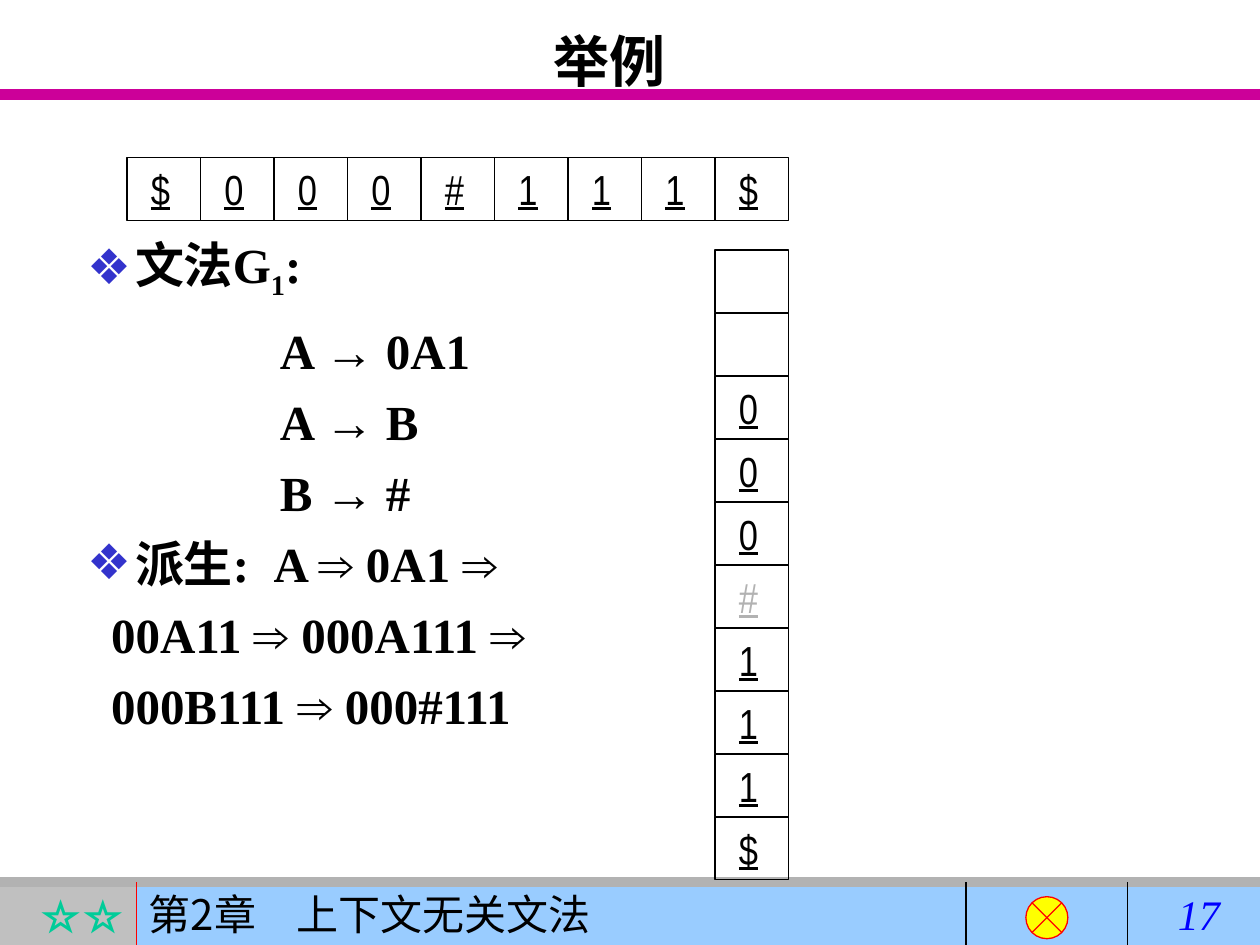
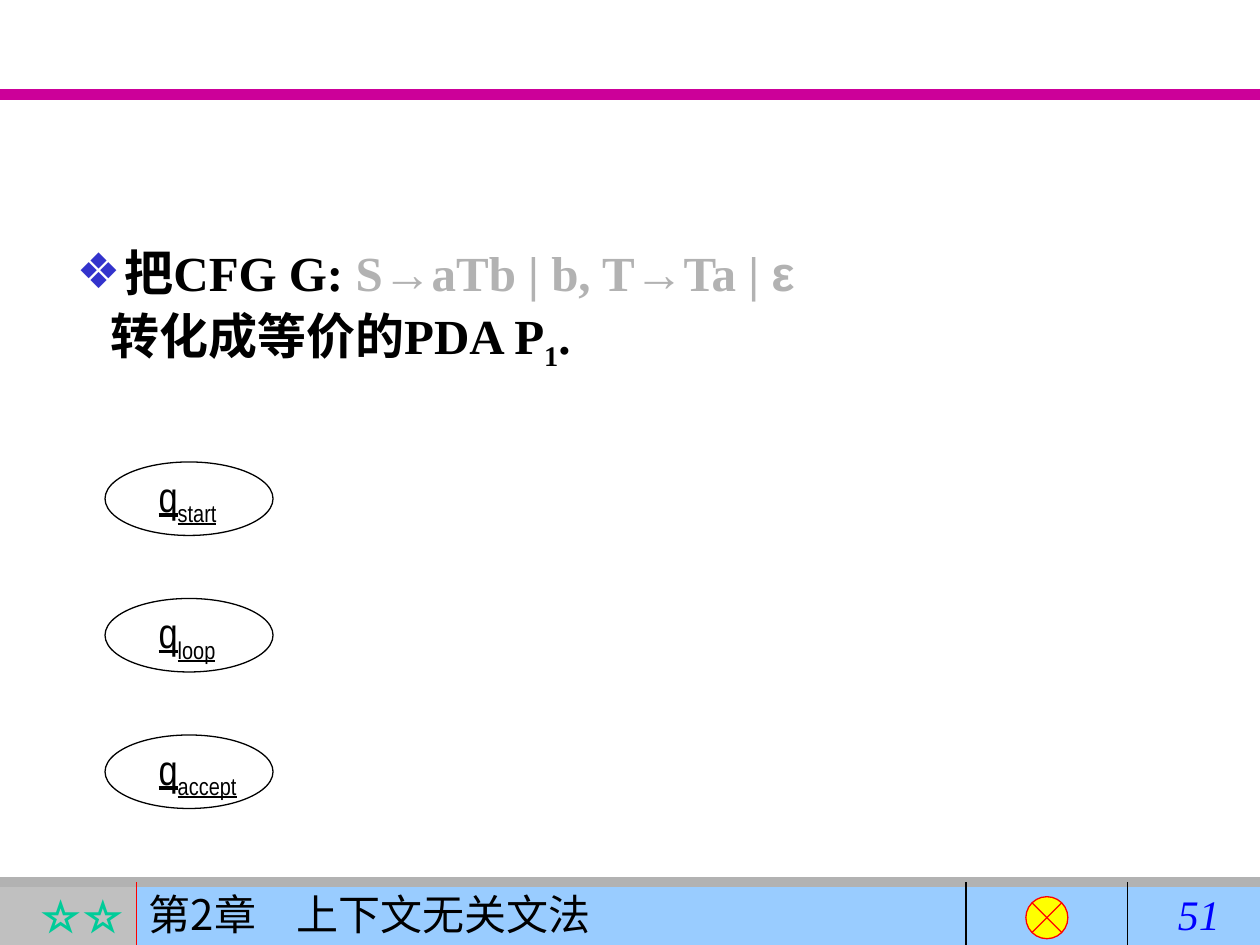
from itertools import groupby

from lxml import etree
from pptx import Presentation
from pptx.dml.color import RGBColor
from pptx.enum.shapes import MSO_CONNECTOR, MSO_SHAPE
from pptx.enum.text import MSO_ANCHOR, MSO_AUTO_SIZE, PP_ALIGN
from pptx.oxml.ns import qn
from pptx.util import Inches, Pt

RECTANGLE = MSO_SHAPE.RECTANGLE
OVAL = MSO_SHAPE.OVAL
SUMMING_JUNCTION = MSO_SHAPE.FLOWCHART_SUMMING_JUNCTION
STRAIGHT = MSO_CONNECTOR.STRAIGHT
TOP, MIDDLE = MSO_ANCHOR.TOP, MSO_ANCHOR.MIDDLE
LEFT, CENTER, RIGHT = PP_ALIGN.LEFT, PP_ALIGN.CENTER, PP_ALIGN.RIGHT
NO_AUTOFIT = MSO_AUTO_SIZE.NONE

BLACK = RGBColor(0x00, 0x00, 0x00)
RED = RGBColor(0xFF, 0x00, 0x00)
YELLOW = RGBColor(0xFF, 0xFF, 0x00)
MAGENTA = RGBColor(0xCC, 0x00, 0x99)
GRAY = RGBColor(0xB2, 0xB2, 0xB2)
SILVER = RGBColor(0xC0, 0xC0, 0xC0)
SKY = RGBColor(0x99, 0xCC, 0xFF)
GREEN = RGBColor(0x00, 0xCC, 0x99)
BLUE = RGBColor(0x00, 0x00, 0xFF)
BULLET_BLUE = RGBColor(0x33, 0x33, 0xCC)

SERIF, SANS, NARROW = "Times New Roman", "Arial", "Arial Narrow"
CHINESE = "Noto Sans CJK SC"
SYMBOLS = "→⇒ε"

SLIDE_WIDTH, SLIDE_HEIGHT = Inches(10), Inches(7.5)
COLUMNS, ROWS = 120, 90
COLUMN, ROW = SLIDE_WIDTH / COLUMNS, SLIDE_HEIGHT / ROWS
FOOTER_TOP, FOOTER_HEIGHT = 84, 6
CELL_WIDTH, CELL_HEIGHT = 7, 6


def place(left, top, width, height):
    return (round(left * COLUMN), round(top * ROW),
            round(width * COLUMN), round(height * ROW))


def add_text(paragraph, text, font=SERIF, size=28, color=BLACK, bold=False,
             italic=False, underline=False, subscript=False):
    for is_symbol, characters in groupby(text, lambda mark: mark in SYMBOLS):
        run = paragraph.add_run()
        run.text = "".join(characters)
        name = SANS if is_symbol else font
        run.font.name = name
        run.font.size = Pt(size)
        run.font.color.rgb = color
        run.font.bold = bold
        run.font.italic = italic
        run.font.underline = underline
        properties = run.font._element
        if subscript:
            properties.set("baseline", "-25000")
        east_asian = etree.SubElement(properties, qn("a:ea"))
        east_asian.set("typeface", SANS if is_symbol else CHINESE)


def add_tab(paragraph, position):
    tabs = etree.SubElement(paragraph._p.get_or_add_pPr(), qn("a:tabLst"))
    etree.SubElement(tabs, qn("a:tab"), pos=str(Inches(position)), algn="l")


def set_bullet(paragraph, bulleted, indent):
    properties = paragraph._p.get_or_add_pPr()
    if not bulleted:
        properties.set("marL", str(Inches(indent)))
        properties.set("indent", "0")
        etree.SubElement(properties, qn("a:buNone"))
        return
    properties.set("marL", str(Inches(0.38)))
    properties.set("indent", str(Inches(-0.38)))
    color = etree.SubElement(properties, qn("a:buClr"))
    etree.SubElement(color, qn("a:srgbClr"), val=str(BULLET_BLUE))
    etree.SubElement(properties, qn("a:buChar"), char="❖")


def set_frame(text_frame, anchor, left=0.1, top=0.0, right=0.0):
    text_frame.word_wrap = True
    text_frame.auto_size = NO_AUTOFIT
    text_frame.vertical_anchor = anchor
    text_frame.margin_left = Inches(left)
    text_frame.margin_right = Inches(right)
    text_frame.margin_top = Inches(top)
    text_frame.margin_bottom = 0


def add_box(slide, box, kind=RECTANGLE, fill=None, line=None, margin=0.1,
            align=LEFT):
    shape = slide.shapes.add_shape(kind, *place(*box))
    shape.shadow.inherit = False
    if fill is None:
        shape.fill.background()
    else:
        shape.fill.solid()
        shape.fill.fore_color.rgb = fill
    if line is None:
        shape.line.fill.background()
    else:
        shape.line.color.rgb = line
        shape.line.width = Pt(0.75)
    set_frame(shape.text_frame, MIDDLE, left=margin,
              right=margin if align == RIGHT else 0)
    paragraph = shape.text_frame.paragraphs[0]
    paragraph.alignment = align
    return paragraph


def add_line(slide, start, end, color, width=0.75):
    left, top, right, bottom = place(*start, *end)
    line = slide.shapes.add_connector(STRAIGHT, left, top, right, bottom)
    line.line.color.rgb = color
    line.line.width = Pt(width)
    etree.SubElement(line._element.spPr, qn("a:effectLst"))


def add_footer(slide, left, top, width, height, number):
    chapter_left = left + 13
    stars = add_box(slide, (left, top, 13, height), fill=SILVER, align=RIGHT)
    add_text(stars, "☆☆", size=24, color=GREEN, bold=True)
    chapter = add_box(slide, (chapter_left, top, width - 13, height), fill=SKY)
    add_tab(chapter, 1.17)
    add_text(chapter, "第2章\t上下文无关文法", font=CHINESE, size=24)
    add_line(slide, (left, top), (left + width, top), GRAY, 6)
    for column, color in ((chapter_left, RED), (92, BLACK), (107.4, BLACK)):
        add_line(slide, (column, top), (column, top + height), color)
    add_box(slide, (left + 97.7, top + 1.4, 4, 4), SUMMING_JUNCTION,
            fill=YELLOW, line=RED)
    page = slide.shapes.add_textbox(*place(left + 111, top, 9, height))
    set_frame(page.text_frame, MIDDLE)
    add_text(page.text_frame.paragraphs[0], str(number), size=24, color=BLUE,
             italic=True)


def add_title(slide, box, text):
    title = slide.shapes.title
    if text is None:
        title._element.getparent().remove(title._element)
        return
    title.left, title.top, title.width, title.height = place(*box)
    set_frame(title.text_frame, TOP, top=0.05, right=0.1)
    paragraph = title.text_frame.paragraphs[0]
    paragraph.alignment = CENTER
    add_text(paragraph, text, size=32, bold=True)


def add_body(slide, box, items):
    body = slide.placeholders[1]
    body.left, body.top, body.width, body.height = place(*box)
    text_frame = body.text_frame
    set_frame(text_frame, TOP, top=0.09, right=0.1)
    for index, (bulleted, indent, runs) in enumerate(items):
        paragraph = text_frame.add_paragraph() if index else text_frame.paragraphs[0]
        set_bullet(paragraph, bulleted, indent)
        if any("\t" in text for text, _ in runs):
            add_tab(paragraph, 1.48)
        paragraph.alignment = LEFT
        paragraph.line_spacing = Pt(33.6)
        after_subscript = index and any("subscript" in style
                                        for _, style in items[index - 1][2])
        paragraph.space_before = Pt((11 if after_subscript else 7) if index else 0)
        for text, style in runs:
            add_text(paragraph, text, bold=True, **style)


def add_cells(slide, left, top, symbols, column_step=0, row_step=0, faded=None):
    for index, symbol in enumerate(symbols):
        box = (left + index * column_step, top + index * row_step,
               CELL_WIDTH, CELL_HEIGHT)
        cell = add_box(slide, box, line=BLACK, margin=0.19)
        if symbol:
            add_text(cell, symbol, font=NARROW, size=24, underline=True,
                     color=GRAY if index == faded else BLACK)


def add_states(slide, left, top, names):
    for index, name in enumerate(names):
        state = add_box(slide, (left, top + 13 * index, 16, 7), OVAL,
                        line=BLACK, margin=0.23)
        add_text(state, "q", font=NARROW, size=24, underline=True)
        add_text(state, name, font=NARROW, size=24, underline=True,
                 subscript=True)


def add_slide(presentation, number, title=None):
    slide = presentation.slides.add_slide(presentation.slide_layouts[1])
    add_line(slide, (0, 9), (COLUMNS, 9), MAGENTA, 6)
    add_footer(slide, 0, FOOTER_TOP, COLUMNS, FOOTER_HEIGHT, number)
    add_title(slide, (7.1, 1.9, 102, 15), title)
    return slide


def build_example_slide(presentation):
    slide = add_slide(presentation, 17, "举例")
    rules = [(False, 1.53, [(rule, {})]) for rule in ("A → 0A1", "A → B", "B → #")]
    steps = [(False, 0.19, [(step, {})])
             for step in ("00A11 ⇒ 000A111 ⇒", "000B111 ⇒ 000#111")]
    grammar = (True, 0, [("文法G", {}), ("1", {"subscript": True}), (":", {})])
    derivation = (True, 0, [("派生:\tA ⇒ 0A1 ⇒", {})])
    add_body(slide, (7.1, 22, 60, 61), [grammar, *rules, derivation, *steps])
    tape = "$000#111$"
    tape_left = 12.1
    stack_left = tape_left + (len(tape) - 1) * CELL_WIDTH
    add_cells(slide, stack_left, 23.8, ["", "", *"000#111$"],
              row_step=CELL_HEIGHT, faded=5)
    add_cells(slide, tape_left, 15, tape, column_step=CELL_WIDTH)


def build_conversion_slide(presentation):
    slide = add_slide(presentation, 51)
    add_body(slide, (6.1, 22, 102, 17), [
        (True, 0, [("把CFG G: ", {}),
                   ("S→aTb | b, T→Ta | ε", {"color": GRAY})]),
        (False, 0.27, [("转化成等价的PDA P", {}), ("1", {"subscript": True}),
                       (".", {})]),
    ])
    add_states(slide, 10, 44, ("start", "loop", "accept"))


def main():
    presentation = Presentation()
    presentation.slide_width = SLIDE_WIDTH
    presentation.slide_height = SLIDE_HEIGHT
    build_example_slide(presentation)
    build_conversion_slide(presentation)
    presentation.save("out.pptx")


if __name__ == "__main__":
    main()
